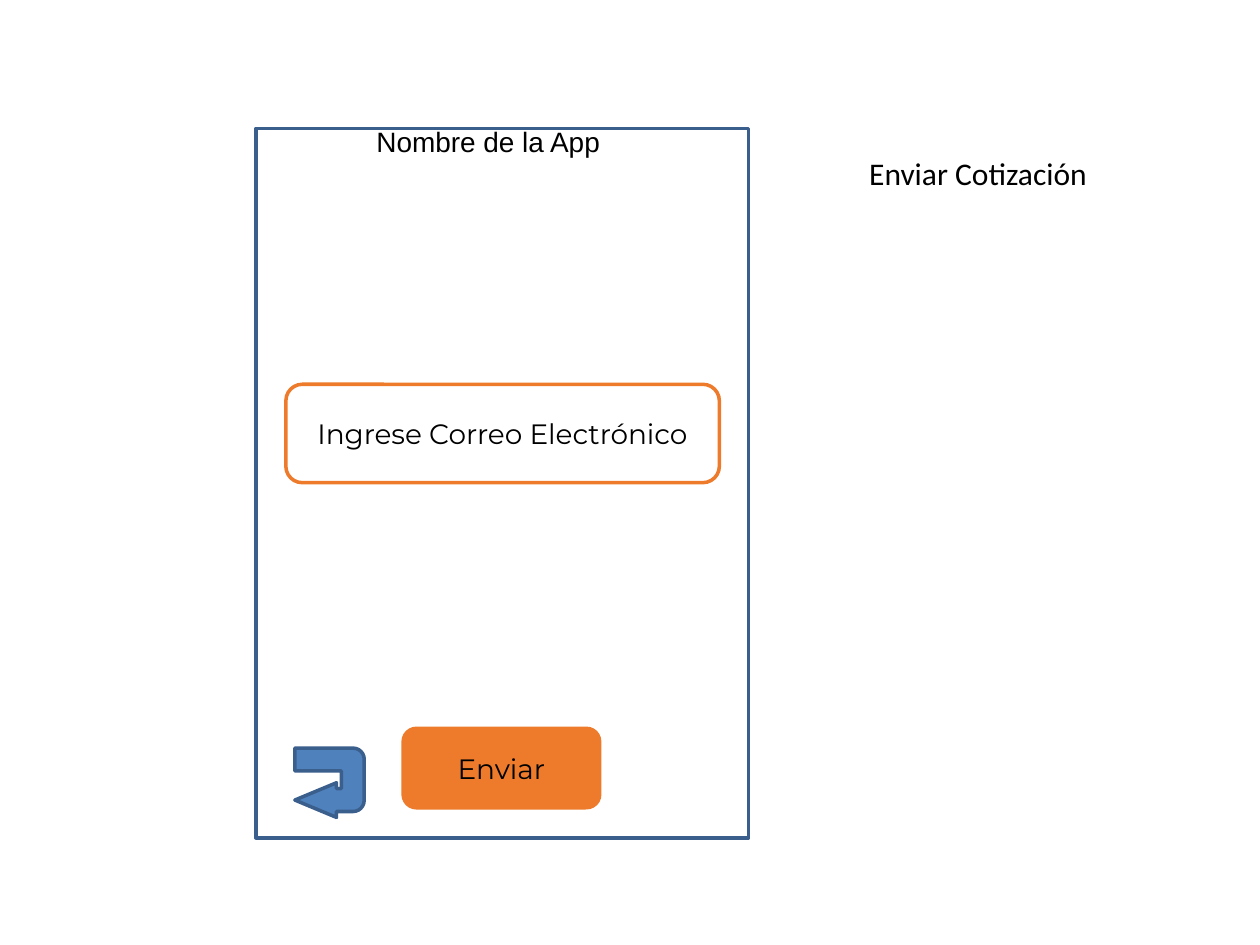
from pptx import Presentation
from pptx.dml.color import RGBColor
from pptx.enum.shapes import MSO_SHAPE
from pptx.enum.text import MSO_ANCHOR, PP_ALIGN
from pptx.util import Pt

WHITE = RGBColor(0xFF, 0xFF, 0xFF)
BLACK = RGBColor(0x00, 0x00, 0x00)
ORANGE = RGBColor(0xED, 0x7B, 0x2B)
BLUE = RGBColor(0x4F, 0x81, 0xBD)
DARK_BLUE = RGBColor(0x3A, 0x5F, 0x8C)


def write_text(holder, wording, font_name, size, align=PP_ALIGN.LEFT):
    frame = holder.text_frame
    frame.word_wrap = True
    paragraph = frame.paragraphs[0]
    paragraph.alignment = align
    run = paragraph.add_run()
    run.text = wording
    for name, value in {"name": font_name, "size": Pt(size)}.items():
        setattr(run.font, name, value)
    run.font.color.rgb = BLACK


def add_outlined(slide, kind, bounds, fill, outline):
    element = slide.shapes.add_shape(kind, *map(Pt, bounds))
    element.shadow.inherit = False
    element.fill.solid()
    element.fill.fore_color.rgb = fill
    element.line.color.rgb = outline
    element.line.width = Pt(2)
    return element


def add_label(slide, bounds, wording, font_name, size):
    label = slide.shapes.add_textbox(*map(Pt, bounds))
    write_text(label, wording, font_name, size)


def add_control(slide, bounds, fill, wording):
    control = add_outlined(slide, MSO_SHAPE.ROUNDED_RECTANGLE, bounds, fill, ORANGE)
    control.text_frame.vertical_anchor = MSO_ANCHOR.MIDDLE
    write_text(control, wording, "Montserrat", 16, PP_ALIGN.CENTER)


def add_back_arrow(slide, bounds):
    back = add_outlined(slide, MSO_SHAPE.U_TURN_ARROW, bounds, BLUE, DARK_BLUE)
    back.rotation = 90
    for index, value in enumerate((0.33, 0.25, 0.6, 0.16, 1)):
        back.adjustments[index] = value


def main():
    presentation = Presentation()
    presentation.slide_width, presentation.slide_height = Pt(720), Pt(540)
    slide = presentation.slides.add_slide(presentation.slide_layouts[6])

    add_outlined(slide, MSO_SHAPE.RECTANGLE, (146.2, 73.4, 281.5, 405.4), WHITE, DARK_BLUE)
    add_label(slide, (489.6, 84.2, 191.5, 29), "Enviar Cotización", "Calibri", 18)
    add_label(slide, (208, 67.7, 214, 26.6), "Nombre de la App", "Arial", 16)
    add_control(slide, (163.4, 219.6, 247.7, 56.2), WHITE, "Ingrese Correo Electrónico")
    add_back_arrow(slide, (168.5, 427.5, 39.6, 39.6))
    add_control(slide, (230.4, 416.2, 112.3, 45.4), ORANGE, "Enviar")

    presentation.save("out.pptx")


if __name__ == "__main__":
    main()
